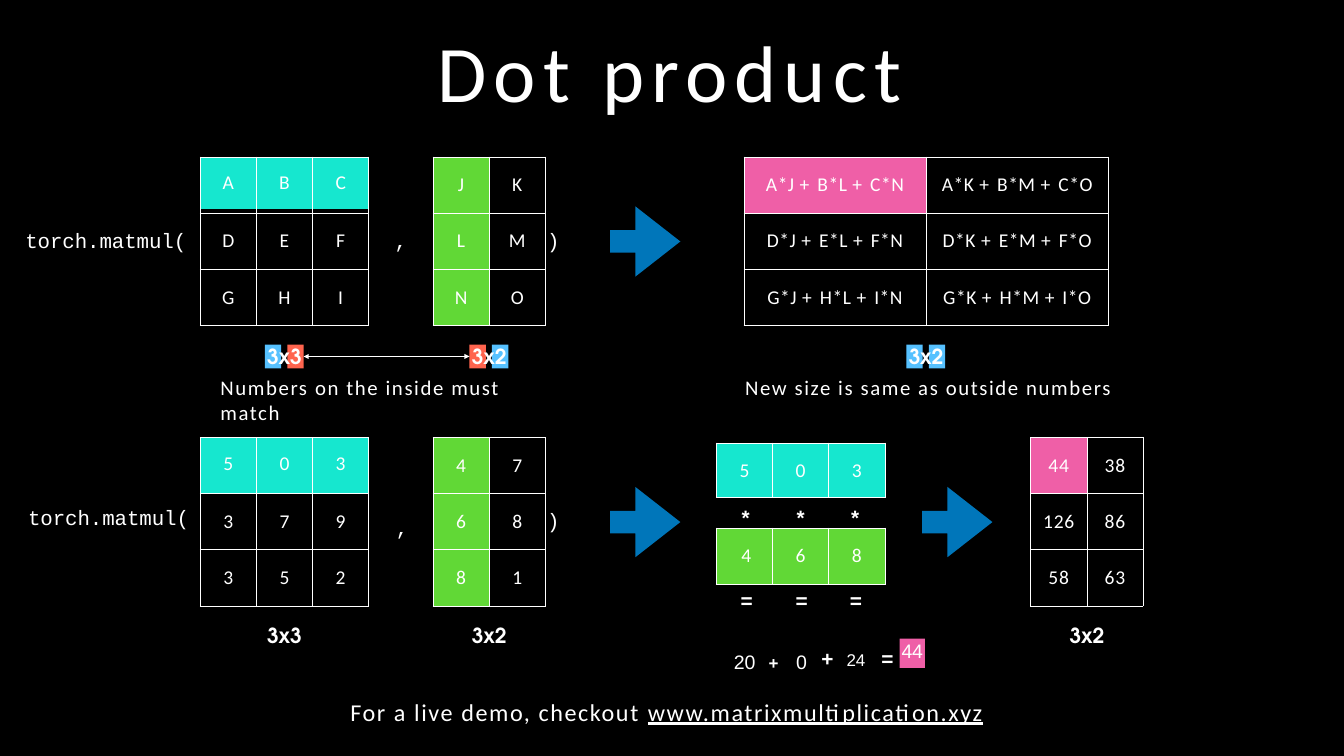
from lxml import etree
from pptx import Presentation
from pptx.dml.color import RGBColor
from pptx.enum.shapes import MSO_CONNECTOR, MSO_SHAPE
from pptx.enum.text import MSO_ANCHOR, PP_ALIGN
from pptx.oxml.ns import qn
from pptx.util import Inches, Pt

LEFT, CENTER = PP_ALIGN.LEFT, PP_ALIGN.CENTER
TOP, MIDDLE = MSO_ANCHOR.TOP, MSO_ANCHOR.MIDDLE
RECT, ARROW, STRAIGHT = MSO_SHAPE.RECTANGLE, MSO_SHAPE.RIGHT_ARROW, MSO_CONNECTOR.STRAIGHT
CELL = 0.92  # inches: the side of a matrix cell is the grid unit
LINE = 0.48  # height of one line of text, in cells
SPLIT = (0.93, 0.07, 1, 1)  # row heights where a thin strip ends the first row

class Theme:
    back, ink, arrow = "000000", "FFFFFF", "0076BA"
    row, column, result = "16E7CF", "61D836", "EF5FA7"
    inner, outer = "FF644E", "56C1FF"
    body, code, label, math = "Calibri", "Courier New", "TeX Gyre Adventor", "Arial"
    title_size, demo_size, text_size, cell_size, small_size = 94.5, 28.5, 24.5, 23, 20

T = Theme()

def rgb(color):
    return RGBColor.from_string(color)

def grid(*cells):
    return [Inches(n * CELL) for n in cells]

def add_words(p, text, spacing=0, plus=None, **font):
    """One run per word; plus is the letter spacing of a plus sign."""
    words = text.split(" ")
    for n, word in enumerate(words, 1):
        r = p.add_run()
        r.text = word + (" " if n < len(words) else "")
        values = {"name": T.body, "size": T.text_size, **font}
        values["size"] = Pt(values["size"])
        for name, value in values.items():
            setattr(r.font, name, value)
        r.font.color.rgb = rgb(T.ink)
        points = plus if plus and word == "+" else spacing
        r._r.get_or_add_rPr().set("spc", str(round(points * 100)))

def format_frame(tf, anchor=MIDDLE, wrap=False):
    values = {"margin_left": 0, "margin_right": 0, "margin_top": 0, "margin_bottom": 0,
              "vertical_anchor": anchor, "word_wrap": wrap}
    for name, value in values.items():
        setattr(tf, name, value)

def add_text(s, box, text, align=LEFT, anchor=MIDDLE, wrap=False, tabs=(), **font):
    """Text is one string, or a list of (string, font values) runs."""
    tf = s.shapes.add_textbox(*grid(*box)).text_frame
    format_frame(tf, anchor, wrap)
    p = tf.paragraphs[0]
    p.alignment = align
    if tabs:
        tab_list = etree.SubElement(p._p.get_or_add_pPr(), qn("a:tabLst"))
        for stop in tabs:
            etree.SubElement(tab_list, qn("a:tab"), pos=str(Inches(stop)), algn="l")
    for part, values in [(text, {})] if isinstance(text, str) else text:
        add_words(p, part, **{**font, **values})

def add_block(s, kind, box, color):
    sp = s.shapes.add_shape(kind, *grid(*box))
    sp.shadow.inherit = False
    sp.fill.solid()
    sp.fill.fore_color.rgb = rgb(color)
    sp.line.fill.background()
    return sp

def add_arrow(s, x, y):
    sp = add_block(s, ARROW, (x, y, 1.25, 1.25), T.arrow)
    sp.adjustments[0], sp.adjustments[1] = 0.32, 0.64

def add_borders(cell, hidden):
    tc_pr = cell._tc.get_or_add_tcPr()
    for index, side in enumerate("LRTB"):
        ln = etree.Element(qn(f"a:ln{side}"), w=str(Pt(1)))
        if side in hidden:
            etree.SubElement(ln, qn("a:noFill"))
        else:
            etree.SubElement(etree.SubElement(ln, qn("a:solidFill")), qn("a:srgbClr"), val=T.ink)
        tc_pr.insert(index, ln)

def add_matrix(s, x, y, values, widths, heights, color, rows=1, cols=1, seam="", spacing=0.9):
    """Colours the first rows by cols cells; seam "BT" or "RL" joins the first two rows or columns."""
    box = grid(x, y, sum(widths), sum(heights))
    table = s.shapes.add_table(len(heights), len(widths), *box).table
    table.first_row = table.horz_banding = False
    for col, width in zip(table.columns, grid(*widths)):
        col.width = width
    for row, height in zip(table.rows, grid(*heights)):
        row.height = height
    for i, row in enumerate(values):
        for j, value in enumerate(row):
            cell = table.cell(i, j)
            cell.margin_left = cell.margin_right = cell.margin_top = cell.margin_bottom = 0
            cell.vertical_anchor = MIDDLE
            cell.fill.solid()
            cell.fill.fore_color.rgb = rgb(color if i < rows and j < cols else T.back)
            position = j if seam == "RL" else i
            add_borders(cell, seam[position:position + 1])
            p = cell.text_frame.paragraphs[0]
            p.alignment = CENTER
            if value == "":
                etree.SubElement(p._p, qn("a:endParaRPr"), sz="100")
            else:
                add_words(p, str(value), spacing, plus=2.1, size=T.cell_size)

def add_size(s, center, top, text, colors=()):
    """Size label under a matrix, with tiles behind its two numbers."""
    middle = top + (3.55 if colors else 3.52)
    tiles = [add_block(s, RECT, (center + shift - 0.15, middle - 0.21, 0.29, 0.42), color)
             for shift, color in zip((-0.2, 0.2), colors)]
    add_text(s, (center - 0.35, middle - LINE / 2, 0.7, LINE), text, CENTER,
             name=T.label, bold=True, spacing=-0.2)
    return tiles

def add_caption(s, x, top, width, text):
    add_text(s, (x, top + 3.88, width, LINE), text, anchor=TOP, wrap=True, spacing=1.9)

def add_call(s, x, y, a, b, name_at, comma_at, colored_rows=1, a_colors=(), b_colors=()):
    """torch.matmul(a, b) with size labels; returns the tiles of both labels."""
    for (dx, dy), width, text in ((name_at, 2.95, "torch.matmul("), (comma_at, 0.25, ","),
                                  ((9.3, 1.24), 0.25, ")")):
        add_text(s, (x + dx, y + dy, width, LINE), text, name=T.code, spacing=-0.1)
    split = [a[0], ("", "", ""), *a[1:]]
    add_matrix(s, x + 3.13, y, split, (1,) * 3, SPLIT, T.row, colored_rows, 3, "BT")
    add_matrix(s, x + 7.27, y, b, (1,) * 2, (1,) * 3, T.column, rows=3)
    add_arrow(s, x + 10.42, y + 0.88)
    return (add_size(s, x + 4.63, y, "3x3", a_colors),
            add_size(s, x + 8.27, y, "3x2", b_colors))

def join_tiles(s, begin, end):
    line = s.shapes.add_connector(STRAIGHT, 0, 0, 0, 0)
    line.begin_connect(begin, 3)
    line.end_connect(end, 1)
    line.line.color.rgb = rgb(T.ink)
    line.line.width = Pt(0.82)
    for tip in ("a:headEnd", "a:tailEnd"):
        etree.SubElement(line.line._get_or_add_ln(), qn(tip), type="triangle", w="med", len="med")
    etree.SubElement(line._element.spPr, qn("a:effectLst"))

def add_title(s):
    title = s.shapes.title
    title.left, title.top, title.width, title.height = grid(7.78, 0.37, 8.35, 1.75)
    format_frame(title.text_frame)
    p = title.text_frame.paragraphs[0]
    p.alignment = LEFT
    add_words(p, "Dot product", 8.4, size=T.title_size)

def add_letters(s, y):
    a, b = ("ABC", "DEF", "GHI"), ("JK", "LM", "NO")
    sums = [[" + ".join(f"{m}*{n}" for m, n in zip(row, col)) for col in zip(*b)] for row in a]
    left, right = add_call(s, 0.43, y, a, b, (0.02, 1.24), (6.59, 1.24), 1,
                           (T.outer, T.inner), (T.inner, T.outer))
    join_tiles(s, left[1], right[0])
    add_caption(s, 3.92, y, 5.3, "Numbers on the inside must match")
    add_matrix(s, 13.23, y, sums, (3.24,) * 2, (1,) * 3, T.result, spacing=0.6)
    add_size(s, 16.47, y, "3x2", (T.outer, T.outer))
    add_caption(s, 13.25, y, 6.6, "New size is same as outside numbers")

def add_dot_steps(s, x, y, row, col):
    """First row times first column, worked out term by term."""
    add_matrix(s, x, y + 0.1, [row], (1,) * 3, (0.97,), T.row, cols=3)
    add_matrix(s, x, y + 1.61, [("", *col)], (0.07, 0.93, 1, 1), (1,), T.column, cols=4, seam="RL")
    for sign, dx, dy in (("*", 0.45, 1.17), ("=", 0.43, 2.65)):
        add_text(s, (x + dx, y + dy, 2.2, LINE), "\t".join(sign * 3),
                 tabs=(0.9, 1.79), name=T.math, bold=True)
    one, two, three = (m * n for m, n in zip(row, col))
    plain, small, bold = {"size": T.cell_size}, {"size": T.small_size}, {"bold": True}
    add_text(s, (x + 0.31, y + 3.74, 1.32, LINE),
             [(f"{one}\t", plain), ("+\t", {**small, **bold}), (str(two), plain)],
             tabs=(0.57, 1.02), name=T.math)
    add_text(s, (x + 1.87, y + 3.68, 1.3, LINE),
             [("+\t", bold), (f"{three}\t", small), ("=", bold)], tabs=(0.41, 0.98), name=T.math)
    total = add_block(s, RECT, (x + 3.26, y + 3.58, 0.45, 0.52), T.result)
    format_frame(total.text_frame, TOP)
    p = total.text_frame.paragraphs[0]
    p.alignment = CENTER
    add_words(p, str(one + two + three), -0.2, name=T.math, size=T.cell_size)

def add_numbers(s, y):
    a, b = ((5, 0, 3), (3, 7, 9), (3, 5, 2)), ((4, 7), (6, 8), (8, 1))
    products = [[sum(m * n for m, n in zip(row, col)) for col in zip(*b)] for row in a]
    add_call(s, 0.43, y, a, b, (0.07, 1.17), (6.61, 1.36), 2)
    add_dot_steps(s, 12.74, y, a[0], [row[0] for row in b])
    add_arrow(s, 16.4, y + 0.88)
    add_matrix(s, 18.33, y, products, (1,) * 2, (1,) * 3, T.result)
    add_size(s, 19.33, y, "3x2")

def main():
    prs = Presentation()
    prs.slide_width, prs.slide_height = Inches(21.99), Inches(12.37)
    s = prs.slides.add_slide(prs.slide_layouts[5])
    s.background.fill.solid()
    s.background.fill.fore_color.rgb = rgb(T.back)
    add_title(s)
    add_letters(s, 2.79)
    add_numbers(s, 7.78)
    demo = [("For a live demo, checkout ", {}), ("www.matrixmultiplication.xyz", {"underline": True})]
    add_text(s, (6.23, 12.38, 11.47, 0.55), demo, size=T.demo_size, spacing=1.9)
    prs.save("out.pptx")

if __name__ == "__main__":
    main()
